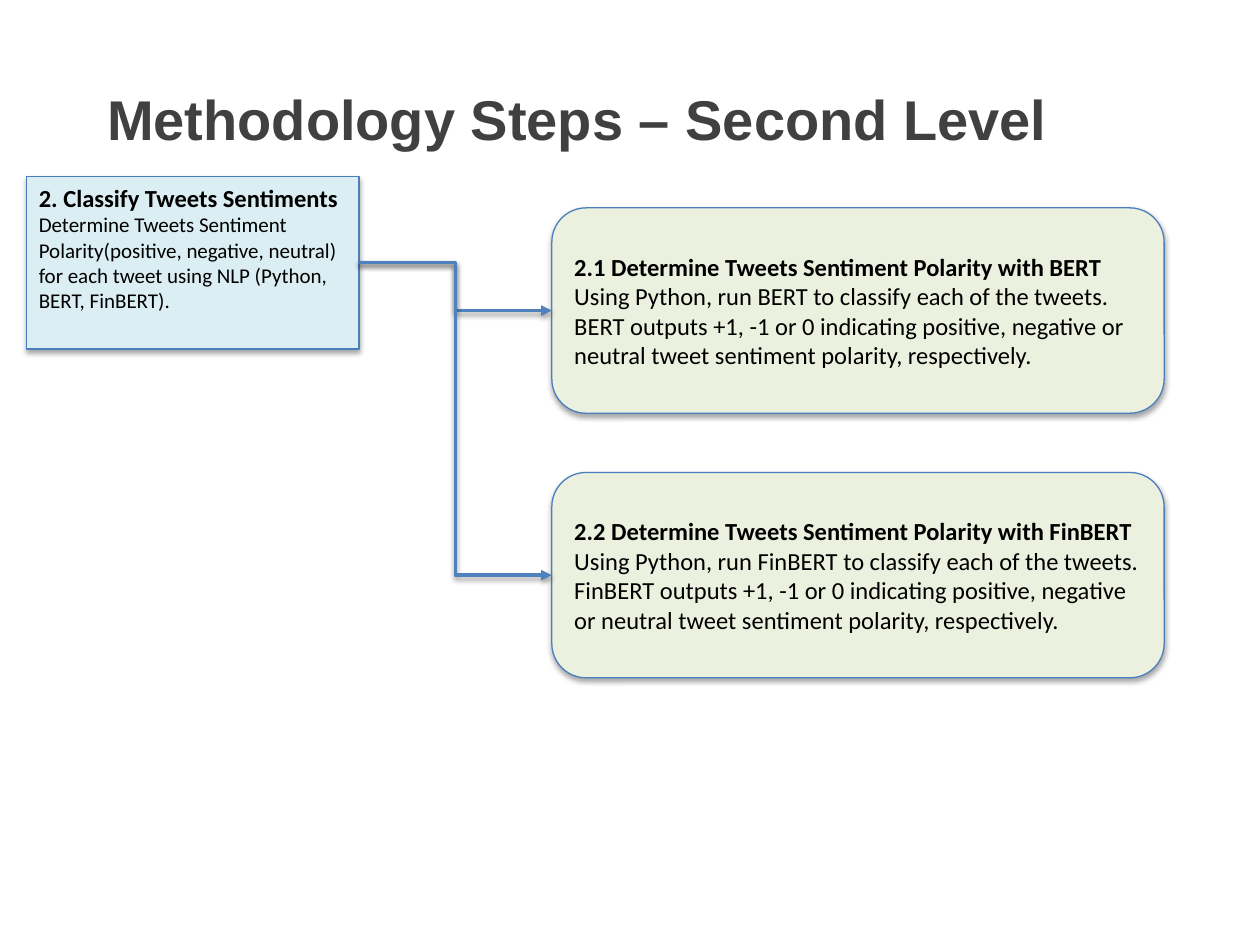
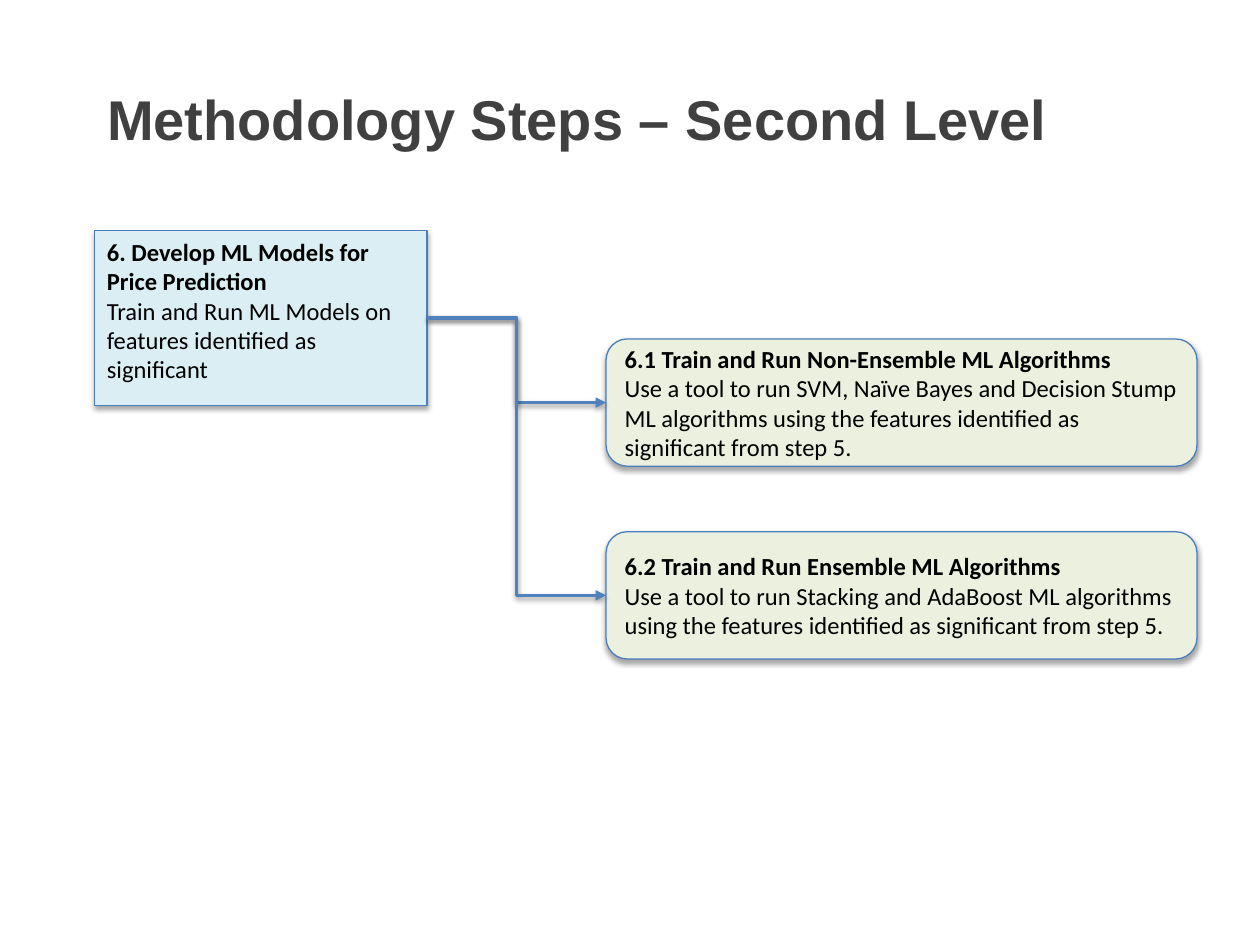
from lxml import etree
from pptx import Presentation
from pptx.dml.color import RGBColor
from pptx.enum.shapes import MSO_CONNECTOR, MSO_SHAPE
from pptx.enum.text import MSO_ANCHOR, MSO_AUTO_SIZE, PP_ALIGN
from pptx.oxml.ns import qn
from pptx.util import Inches, Pt

RECT, ROUND = MSO_SHAPE.RECTANGLE, MSO_SHAPE.ROUNDED_RECTANGLE
ELBOW = MSO_CONNECTOR.ELBOW
TOP, MIDDLE = MSO_ANCHOR.TOP, MSO_ANCHOR.MIDDLE
LEFT = PP_ALIGN.LEFT
RIGHT_SIDE, LEFT_SIDE = 3, 1
TITLE_ONLY = 5

GREY = RGBColor(0x40, 0x40, 0x40)
BLACK = RGBColor(0, 0, 0)
SKY = RGBColor(0xDB, 0xEE, 0xF4)
SAGE = RGBColor(0xEB, 0xF1, 0xDE)
EDGE = RGBColor(0x4B, 0x7E, 0xBC)
LINK = RGBColor(0x4F, 0x81, 0xBD)

TITLE = "Methodology Steps – Second Level"
TITLE_BOX = (0.75, 0.62, 8.48, 1.15)
TITLE_FONT = {"name": "Arial", "size": Pt(32), "bold": True}
HEAD_FONT = {"name": "Calibri", "size": Pt(14), "bold": True}
BODY_FONT = {"name": "Calibri", "size": Pt(14), "bold": False}

# "first" is the box of the top substep; "pitch" is the step down to the next.
SLIDES = [
    {
        "step": ("2. Classify Tweets Sentiments",
                 "Determine Tweets Sentiment Polarity(positive, negative, neutral) "
                 "for each tweet using NLP (Python, BERT, FinBERT)."),
        "box": (0.21, 1.4, 2.64, 1.37),
        "size": 12,
        "subs": [
            ("2.1 Determine Tweets Sentiment Polarity with BERT",
             "Using Python, run BERT to classify each of the tweets. BERT outputs "
             "+1, -1 or 0 indicating positive, negative or neutral tweet "
             "sentiment polarity, respectively."),
            ("2.2 Determine Tweets Sentiment Polarity with FinBERT",
             "Using Python, run FinBERT to classify each of the tweets. FinBERT "
             "outputs +1, -1 or 0 indicating positive, negative or neutral tweet "
             "sentiment polarity, respectively."),
        ],
        "first": (4.38, 1.65, 4.86, 1.63),
        "pitch": 2.1,
    },
    {
        "step": ("6. Develop ML Models for Price Prediction",
                 "Train and Run ML Models on features identified as significant"),
        "box": (0.75, 1.83, 2.64, 1.39),
        "size": 14,
        "subs": [
            ("6.1 Train and Run Non-Ensemble ML Algorithms",
             "Use a tool to run SVM, Naïve Bayes and Decision Stump ML algorithms "
             "using the features identified as significant from step 5."),
            ("6.2 Train and Run Ensemble ML Algorithms",
             "Use a tool to run Stacking and AdaBoost ML algorithms using the "
             "features identified as significant from step 5."),
        ],
        "first": (4.81, 2.69, 4.69, 1.01),
        "pitch": 1.53,
    },
]


def style(font, color, values):
    for key, value in values.items():
        setattr(font, key, value)
    font.color.rgb = color


def add_shade(shape, dist, alpha):
    """Cast a soft shadow straight down; alpha is in percent."""
    effects = etree.SubElement(shape._element.spPr, qn("a:effectLst"))
    shade = etree.SubElement(effects, qn("a:outerShdw"), blurRad=str(Pt(3.1)),
                             dist=str(Pt(dist)), dir="5400000", rotWithShape="0")
    color = etree.SubElement(shade, qn("a:srgbClr"), val="000000")
    etree.SubElement(color, qn("a:alpha"), val=str(alpha * 1000))


def add_title(slide):
    title = slide.shapes.title
    title.left, title.top, title.width, title.height = map(Inches, TITLE_BOX)
    frame = title.text_frame
    frame.text = TITLE
    frame.auto_size = MSO_AUTO_SIZE.NONE
    frame.vertical_anchor = TOP
    para = frame.paragraphs[0]
    para.alignment = LEFT
    style(para.runs[0].font, GREY, TITLE_FONT)


def add_card(slide, kind, box, fill, texts, anchor, size=14):
    card = slide.shapes.add_shape(kind, *map(Inches, box))
    card.fill.solid()
    card.fill.fore_color.rgb = fill
    card.line.color.rgb = EDGE
    card.line.width = Pt(0.75)
    add_shade(card, 1.8, 35)
    frame = card.text_frame
    frame.word_wrap = True
    frame.vertical_anchor = anchor
    frame.text = "\n".join(texts)
    fonts = HEAD_FONT, {**BODY_FONT, "size": Pt(size)}
    for para, font in zip(frame.paragraphs, fonts):
        para.alignment = LEFT
        style(para.runs[0].font, BLACK, font)
    return card


def add_link(slide, step, sub):
    link = slide.shapes.add_connector(ELBOW, 0, 0, 0, 0)
    link.begin_connect(step, RIGHT_SIDE)
    link.end_connect(sub, LEFT_SIDE)
    link.line.color.rgb = LINK
    link.line.width = Pt(2)
    line = link._element.spPr.find(qn("a:ln"))
    etree.SubElement(line, qn("a:tailEnd"), type="triangle")
    add_shade(link, 1.6, 38)


def add_slide(deck, data):
    slide = deck.slides.add_slide(deck.slide_layouts[TITLE_ONLY])
    add_title(slide)
    step = add_card(slide, RECT, data["box"], SKY, data["step"], TOP, data["size"])
    left, top, width, height = data["first"]
    for row, texts in enumerate(data["subs"]):
        box = (left, top + row * data["pitch"], width, height)
        sub = add_card(slide, ROUND, box, SAGE, texts, MIDDLE)
        add_link(slide, step, sub)


def main():
    deck = Presentation()
    deck.slide_width, deck.slide_height = Inches(10), Inches(7.5)
    for data in SLIDES:
        add_slide(deck, data)
    deck.save("out.pptx")


if __name__ == "__main__":
    main()
